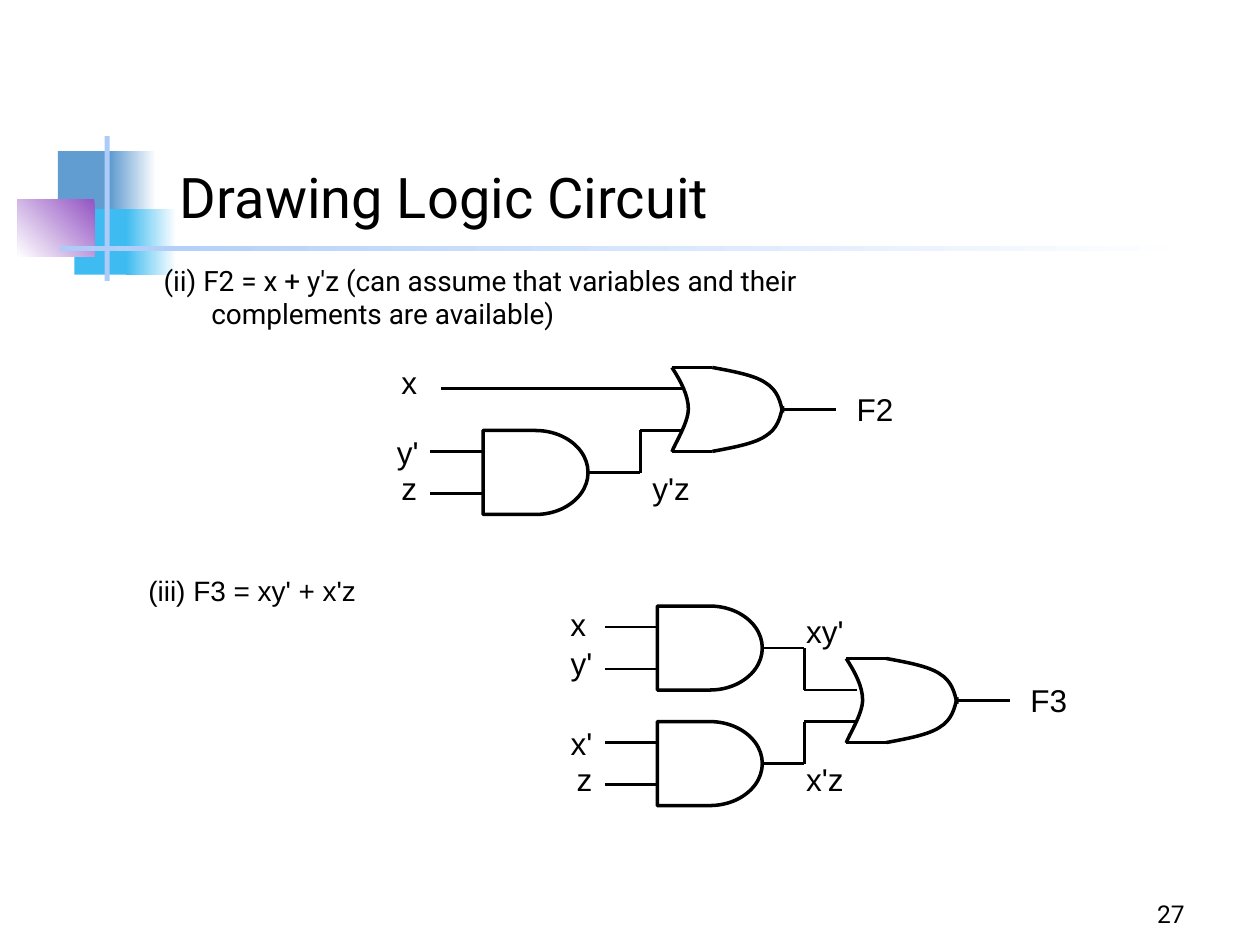
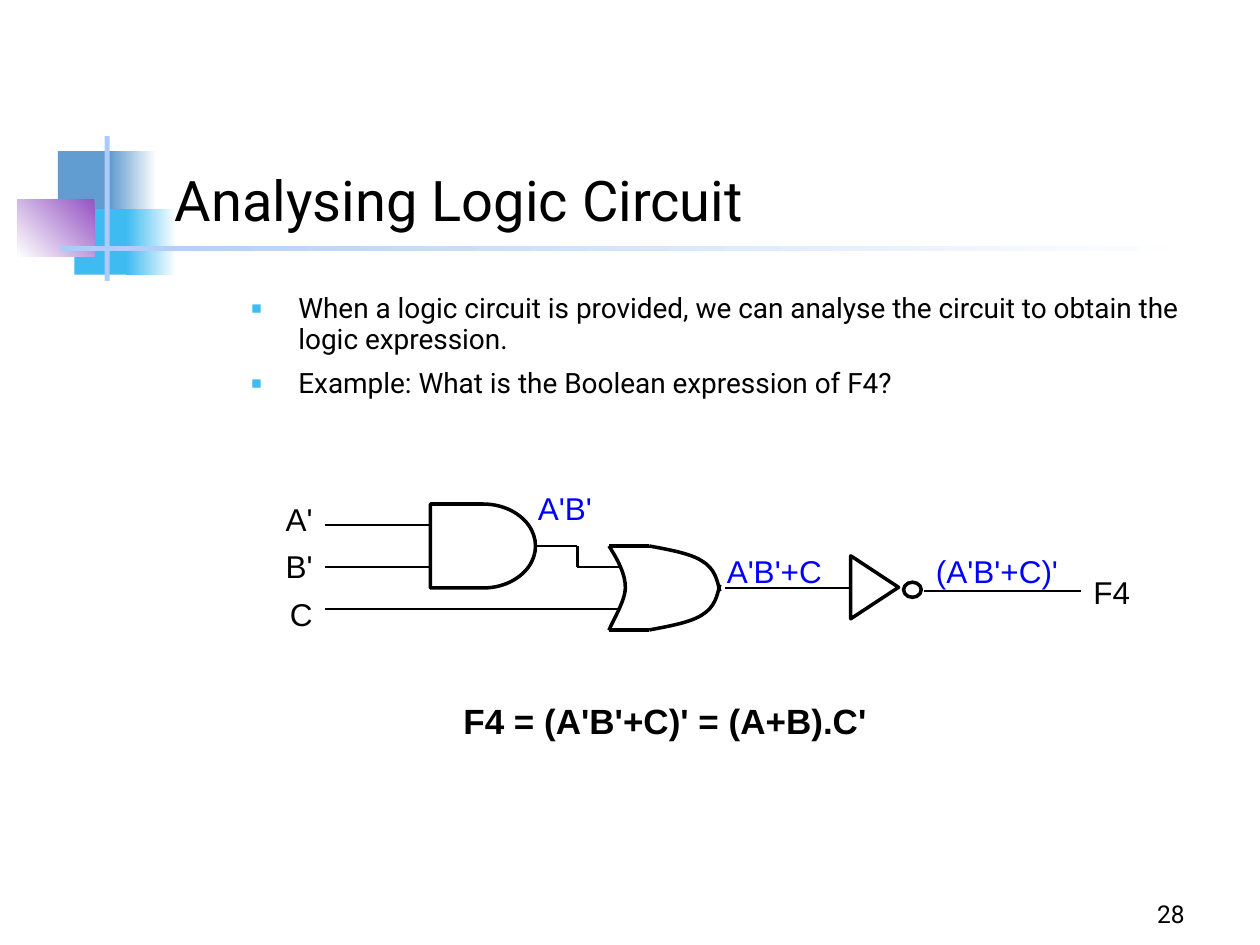
from itertools import pairwise

from lxml import etree
from pptx import Presentation
from pptx import util as u
from pptx.dml.color import RGBColor
from pptx.enum import shapes, text
from pptx.oxml import ns

# Shared look
COLOURS = {"ink": "000000", "blue": "629DD1", "cyan": "3EBBF0", "purple": "9454C3",
           "rule": "ACCBF9", "white": "FFFFFF", "answer": "0000FF"}
BODY_FONT, LABEL_FONT = "Roboto", "Arial"
WIRE, OUTLINE = 1.5, 2

# Corner ornament: box, colour stops, clockwise gradient angle
ORNAMENT = [
    ((0.46, 1.2, 0.48, 0.52), ["blue"], 0),
    ((0.88, 1.2, 0.36, 0.52), ["white", "blue"], 180),
    ((0.59, 1.66, 0.46, 0.52), ["cyan"], 0),
    ((1, 1.66, 0.4, 0.52), ["white", "cyan"], 180),
    ((0.14, 1.58, 0.61, 0.46), ["purple", "white"], 135),
    ((0.83, 1.08, 0.04, 1.15), ["rule"], 0),
    ((0.48, 1.95, 9, 0.04), ["white", "rule"], 180),
]

# Circuits are drawn on a grid of twelfths of an inch
GRID = 1 / 12
GATE_WIDTH, GATE_HEIGHT = 10 * GRID, 8 * GRID

# Curves of an OR gate, in inches from its top left corner
OR_EDGE = 0.32
OR_BACK = [(0, 0), (0.07, 0.11), (0.13, 0.22), (0.13, 0.33),
           (0.13, 0.44), (0.02, 0.61), (0, 0.67)]
OR_NOSE = [(0.32, 0), (0.48, 0.03), (0.65, 0.06), (0.74, 0.12),
           (0.84, 0.18), (0.86, 0.27), (0.88, 0.36)]

# Text formats
BODY = {"size": 16, "name": BODY_FONT}
LABEL = {"size": 18}
INPUT = {"size": 18, "align": "RIGHT"}
ANSWER = {"size": 18, "colour": "answer"}
HANGING = {"indent": (0.5, -0.38)}
BULLETS = {**BODY, **HANGING, "bullet": "▪", "line_spacing": 0.9, "gap": 8}
LABEL_HEIGHT = 0.4

# Slide content: texts are (box, paragraphs, format); labels are (left, top, width, text, format);
# circuits have an origin in inches and places in grid steps from it
SLIDES = [
    {
        "title": ((1.33, 1.04), "Drawing Logic Circuit"),
        "number": "27",
        "texts": [
            ((1.08, 2.04, 8.5, 0.67),
             ["(ii) F2 = x + y'z (can assume that variables and their\vcomplements are available)"],
             {**BODY, **HANGING}),
            ((1.08, 4.5, 2.84, 0.57), ["(iii) F3 = xy' + x'z"], {"size": 16}),
        ],
        "labels": [
            (3.08, 2.83, 0.33, "x", INPUT), (3, 3.39, 0.42, "y'", INPUT),
            (3.08, 3.67, 0.33, "z", INPUT), (5.08, 3.67, 0.5, "y'z", LABEL),
            (6.7, 3.05, 0.58, "F2", LABEL),
            (4.33, 4.75, 0.42, "x", INPUT), (4.38, 5.06, 0.42, "y'", INPUT),
            (4.38, 5.7, 0.42, "x'", INPUT), (4.47, 5.98, 0.33, "z", INPUT),
            (6.3, 4.81, 0.5, "xy'", LABEL), (6.3, 5.98, 0.5, "x'z", LABEL),
            (8.08, 5.36, 0.58, "F3", LABEL),
        ],
        "circuits": [
            {
                "origin": (3.5, 3),
                "and": [(4, 5)],
                "or": [(22, -1)],
                "wires": [
                    [(0, 1), (23, 1)],
                    [(-1, 7), (4, 7)],
                    [(-1, 11), (4, 11)],
                    [(14, 9), (19, 9), (19, 5), (23, 5)],
                    [(32.6, 3), (37.6, 3)],
                ],
            },
            {
                "origin": (4.8, 4.81),
                "and": [(5, 0), (5, 11)],
                "or": [(23, 5)],
                "wires": [
                    [(0, 2), (5, 2)],
                    [(0, 6), (5, 6)],
                    [(0, 13), (5, 13)],
                    [(0, 17), (5, 17)],
                    [(15, 4), (19, 4), (19, 8), (24, 8)],
                    [(15, 15), (19, 15), (19, 11), (24, 11)],
                    [(33.6, 9), (38.6, 9)],
                ],
            },
        ],
    },
    {
        "title": ((1.29, 1.07), "Analysing Logic Circuit"),
        "number": "28",
        "texts": [
            ((1.77, 2.29, 8.03, 1.44),
             ["When a logic circuit is provided, we can analyse the circuit to obtain the logic expression.",
              "Example: What is the Boolean expression of F4?"], BULLETS),
            ((2.08, 3.92, 0.5, 1.18), ["A'", "B'", "C"], {**INPUT, "gap": 5.4}),
            ((3.58, 5.5, 3.5, 0.43), ["F4 = (A'B'+C)' = (A+B).C'"], {"size": 20, "bold": True}),
        ],
        "labels": [
            (4.17, 3.83, 0.75, "A'B'", ANSWER), (5.67, 4.33, 1, "A'B'+C", ANSWER),
            (7.33, 4.33, 1.25, "(A'B'+C)'", ANSWER), (8.58, 4.5, 0.58, "F4", LABEL),
        ],
        "circuits": [
            {
                "origin": (2.5, 4),
                "and": [(11, 0)],
                "or": [(28, 4)],
                "inverter": [(50.3, 5.65)],
                "wires": [
                    [(1, 2), (11, 2)],
                    [(1, 6), (11, 6)],
                    [(1, 10), (29, 10)],
                    [(21, 4), (25, 4), (25, 6), (29, 6)],
                    [(39, 8), (51, 8)],
                    [(58, 8.3), (73, 8.3)],
                ],
            },
        ],
    },
]


def rgb(name):
    return RGBColor.from_string(COLOURS[name])


def inches(values):
    return [u.Inches(value) for value in values]


# Text
def add_bullet(paragraph, character):
    properties = paragraph._p.get_or_add_pPr()
    colour = etree.SubElement(properties, ns.qn("a:buClr"))
    etree.SubElement(colour, ns.qn("a:srgbClr"), val=COLOURS["cyan"])
    etree.SubElement(properties, ns.qn("a:buSzPct"), val="120000")
    etree.SubElement(properties, ns.qn("a:buFont"), typeface=LABEL_FONT)
    etree.SubElement(properties, ns.qn("a:buChar"), char=character)


def add_text(slide, box, lines, style, anchor="TOP"):
    frame = slide.shapes.add_textbox(*inches(box)).text_frame
    frame.word_wrap = True
    frame.vertical_anchor = getattr(text.MSO_ANCHOR, anchor)
    font_values = {"name": style.get("name", LABEL_FONT), "size": u.Pt(style["size"]),
                   "bold": style.get("bold", False)}
    for index, line in enumerate(lines):
        paragraph = frame.add_paragraph() if index else frame.paragraphs[0]
        paragraph.text = line
        paragraph.alignment = getattr(text.PP_ALIGN, style.get("align", "LEFT"))
        if "bullet" in style:
            add_bullet(paragraph, style["bullet"])
        if "line_spacing" in style:
            paragraph.line_spacing = style["line_spacing"]
        if index:
            paragraph.space_before = u.Pt(style.get("gap", 0))
        if "indent" in style:
            properties = paragraph._p.get_or_add_pPr()
            for key, value in zip(("marL", "indent"), inches(style["indent"])):
                properties.set(key, str(value))
        for run in paragraph.runs:
            for key, value in font_values.items():
                setattr(run.font, key, value)
            run.font.color.rgb = rgb(style.get("colour", "ink"))


# Lines and outlines
def set_outline(shape):
    shape.shadow.inherit = False
    shape.fill.background()
    shape.line.color.rgb = rgb("ink")
    shape.line.width = u.Pt(OUTLINE)


def add_outline_shape(slide, kind, box):
    shape = slide.shapes.add_shape(kind, *inches(box))
    set_outline(shape)
    return shape


def add_lines(slide, points, width=WIRE):
    for start, end in pairwise(points):
        line = slide.shapes.add_connector(shapes.MSO_CONNECTOR.STRAIGHT, *inches(start + end))
        line.line.color.rgb = rgb("ink")
        line.line.width = u.Pt(width)
        etree.SubElement(line._element.spPr, ns.qn("a:effectLst"))


def add_curve(slide, controls):
    """Draw a chain of cubic curves: each three control points make one segment."""
    points = [inches(point) for point in controls]
    builder = slide.shapes.build_freeform(*points[0])
    builder.add_line_segments(points[1:], close=False)
    shape = builder.convert_to_shape()
    outline = shape._element.find(".//" + ns.qn("a:path"))
    for index, segment in enumerate(outline.findall(ns.qn("a:lnTo"))):
        if index % 3 == 0:
            curve = etree.SubElement(outline, ns.qn("a:cubicBezTo"))
        curve.append(segment[0])
        outline.remove(segment)
    set_outline(shape)


# Gates
def add_and_gate(slide, left, top):
    add_outline_shape(slide, shapes.MSO_SHAPE.FLOWCHART_DELAY,
                      (left, top, GATE_WIDTH, GATE_HEIGHT))


def add_or_gate(slide, left, top):
    lower_nose = [(x, GATE_HEIGHT - y) for x, y in OR_NOSE]
    for controls in (OR_BACK, OR_NOSE, lower_nose):
        add_curve(slide, [(left + x, top + y) for x, y in controls])
    for y in (top, top + GATE_HEIGHT):
        add_lines(slide, [(left, y), (left + OR_EDGE, y)], OUTLINE)


def add_inverter(slide, left, top):
    triangle = add_outline_shape(slide, shapes.MSO_SHAPE.FLOWCHART_MERGE, (left, top, 0.5, 0.38))
    triangle.rotation = 270
    add_outline_shape(slide, shapes.MSO_SHAPE.OVAL, (left + 0.48, top + 0.15, 0.14, 0.12))


GATES = {"and": add_and_gate, "or": add_or_gate, "inverter": add_inverter}


def add_circuit(slide, circuit):
    def place(point):
        return tuple(start + step * GRID for start, step in zip(circuit["origin"], point))

    for kind, add_gate in GATES.items():
        for corner in circuit.get(kind, []):
            add_gate(slide, *place(corner))
    for wire in circuit["wires"]:
        add_lines(slide, [place(point) for point in wire])


def add_ornament(slide):
    for box, stops, angle in ORNAMENT:
        shape = slide.shapes.add_shape(shapes.MSO_SHAPE.RECTANGLE, *inches(box))
        shape.shadow.inherit = False
        shape.line.fill.background()
        if len(stops) == 1:
            shape.fill.solid()
            shape.fill.fore_color.rgb = rgb(stops[0])
            continue
        shape.fill.gradient()
        shape.fill.gradient_angle = 360 - angle
        for stop, name in zip(shape.fill.gradient_stops, stops):
            stop.color.rgb = rgb(name)


def build_slide(presentation, content):
    slide = presentation.slides.add_slide(presentation.slide_layouts[6])
    add_ornament(slide)
    corner, title = content["title"]
    add_text(slide, (*corner, 8.5, 0.83), [title], {"size": 32, "name": BODY_FONT}, "BOTTOM")
    for box, lines, style in content["texts"]:
        add_text(slide, box, lines, style)
    for left, top, width, label, style in content["labels"]:
        add_text(slide, (left, top, width, LABEL_HEIGHT), [label], style)
    for circuit in content["circuits"]:
        add_circuit(slide, circuit)
    add_text(slide, (7.42, 6.92, 2.08, 0.5), [content["number"]],
             {"size": 14, "name": BODY_FONT, "align": "RIGHT"}, "BOTTOM")


def main():
    presentation = Presentation()
    presentation.slide_width, presentation.slide_height = inches((10, 7.5))
    for content in SLIDES:
        build_slide(presentation, content)
    presentation.save("out.pptx")


if __name__ == "__main__":
    main()
